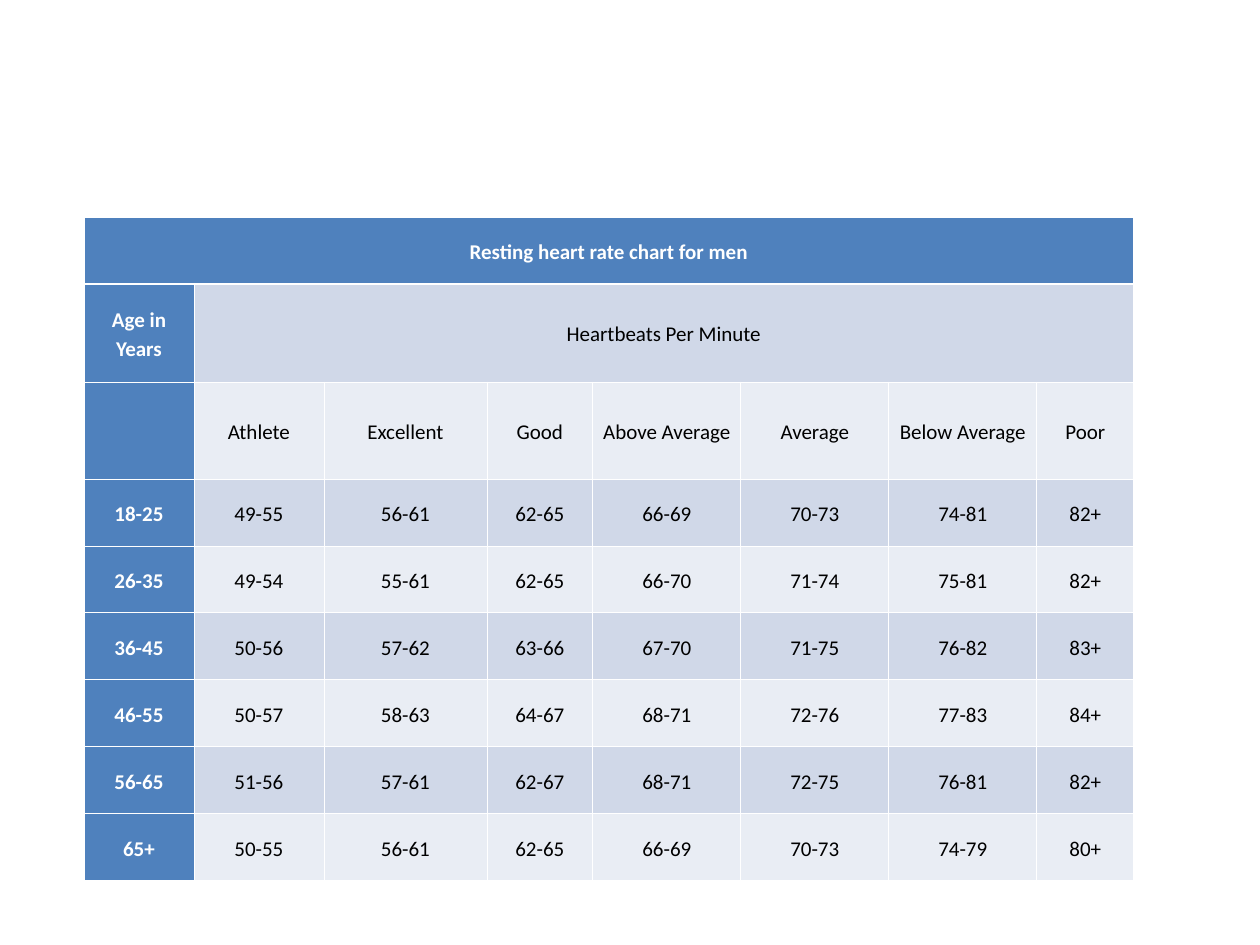
"""Build a slide with a table of resting heart rates for men by age."""
from lxml.etree import SubElement
from pptx import Presentation
from pptx.dml.color import RGBColor
from pptx.enum.text import MSO_ANCHOR, PP_ALIGN
from pptx.oxml.ns import qn
from pptx.util import Emu, Pt

COLORS = {"head": "4F81BD", "dark": "D0D8E8", "light": "E9EDF4",
          "white": "FFFFFF", "black": "000000"}
THIN, THICK = Pt(0.45), Pt(1.47)


def px(n):
    return Emu(round(n * 914400 / 126))


def add_borders(cell, widths):
    tcPr = cell._tc.get_or_add_tcPr()
    for i, (side, width) in enumerate(widths.items()):
        ln = SubElement(tcPr, qn(f"a:ln{side}"), w=str(int(width)))
        fill = SubElement(ln, qn("a:solidFill"))
        SubElement(fill, qn("a:srgbClr"), val=COLORS["white"])
        tcPr.insert(i, ln)


prs = Presentation()
prs.slide_width, prs.slide_height = px(1260), px(945)
s = prs.slides.add_slide(prs.slide_layouts[6])

rows = [
    ["Resting heart rate chart for men"],
    ["Age in Years", "Heartbeats Per Minute"],
    ["", "Athlete", "Excellent", "Good", "Above Average", "Average", "Below Average", "Poor"],
    ["18-25", "49-55", "56-61", "62-65", "66-69", "70-73", "74-81", "82+"],
    ["26-35", "49-54", "55-61", "62-65", "66-70", "71-74", "75-81", "82+"],
    ["36-45", "50-56", "57-62", "63-66", "67-70", "71-75", "76-82", "83+"],
    ["46-55", "50-57", "58-63", "64-67", "68-71", "72-76", "77-83", "84+"],
    ["56-65", "51-56", "57-61", "62-67", "68-71", "72-75", "76-81", "82+"],
    ["65+", "50-55", "56-61", "62-65", "66-69", "70-73", "74-79", "80+"],
]
col_widths = [110, 130, 163, 106, 148, 148, 148, 97]
row_heights = [67, 98, 97] + [67] * 6

table = s.shapes.add_table(len(rows), len(col_widths), px(84), px(217),
                           px(sum(col_widths)), px(sum(row_heights))).table
for col, width in zip(table.columns, col_widths):
    col.width = px(width)
for row, height in zip(table.rows, row_heights):
    row.height = px(height)
for r in range(2):
    table.cell(r, r).merge(table.cell(r, len(col_widths) - 1))

cell_format = {"margin_left": px(9), "margin_right": px(9), "margin_top": px(6),
               "margin_bottom": px(6), "vertical_anchor": MSO_ANCHOR.MIDDLE}

for r, texts in enumerate(rows):
    for c in range(len(col_widths)):
        cell = table.cell(r, c)
        is_head = r == 0 or c == 0
        for name, value in cell_format.items():
            setattr(cell, name, value)
        band = "head" if is_head else "dark" if r % 2 else "light"
        cell.fill.solid()
        cell.fill.fore_color.rgb = RGBColor.from_string(COLORS[band])
        add_borders(cell, {"L": THIN, "R": THIN, "T": THICK if r == 1 else THIN,
                           "B": THICK if r == 0 else THIN})
        if c < len(texts) and texts[c]:
            p = cell.text_frame.paragraphs[0]
            p.alignment, p.line_spacing = PP_ALIGN.CENTER, 1.15
            run = p.add_run()
            run.text = texts[c]
            for name, value in {"name": "Calibri", "size": Pt(12), "bold": is_head}.items():
                setattr(run.font, name, value)
            run.font.color.rgb = RGBColor.from_string(COLORS["white" if is_head else "black"])

prs.save("out.pptx")
